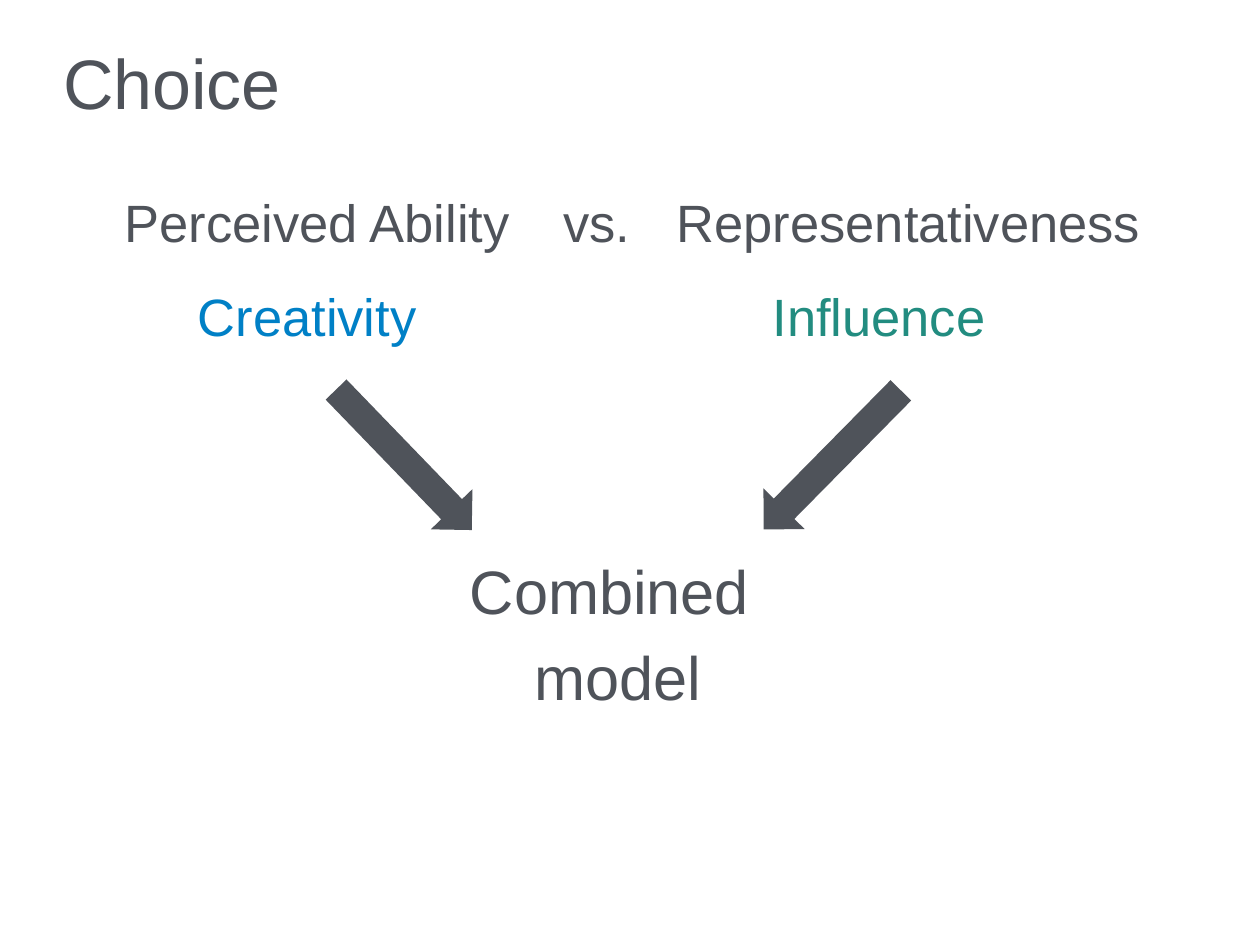
from pptx import Presentation
from pptx.dml.color import RGBColor
from pptx.enum.shapes import MSO_SHAPE as Geo
from pptx.enum.text import MSO_ANCHOR as Anchor, MSO_AUTO_SIZE as Fit, PP_ALIGN as Align
from pptx.util import Pt

GREY, BLUE, GREEN = "4F535A", "0080C6", "228C80"


def tint(code):
    return RGBColor.from_string(code)


def place(box, left, top, width, height):
    box.left, box.top, box.width, box.height = map(Pt, (left, top, width, height))


def write(box, text, size=30, color=GREY, align=Align.LEFT, after=5):
    """Fill a box with one paragraph per line of text."""
    frame = box.text_frame
    frame.word_wrap = True
    frame.auto_size = Fit.NONE
    frame.vertical_anchor = Anchor.TOP
    frame.margin_left = frame.margin_right = 0
    frame.margin_top = frame.margin_bottom = 0
    frame.text = text
    for para in frame.paragraphs:
        para.alignment = align
        para.line_spacing = 1.05
        para.space_before = Pt(0)
        para.space_after = Pt(after)
        font = para.runs[0].font
        font.name, font.size = "Arial", Pt(size)
        font.color.rgb = tint(color)


def label(slide, text, left, top, width, height=36, **form):
    box = slide.shapes.add_textbox(0, 0, 0, 0)
    place(box, left, top, width, height)
    write(box, text, **form)


def arrow(slide, left, angle):
    shape = slide.shapes.add_shape(Geo.RIGHT_ARROW, 0, 0, 0, 0)
    place(shape, left, 246.2, 111.6, 33.1)
    shape.rotation = angle
    shape.shadow.inherit = False
    shape.fill.solid()
    shape.fill.fore_color.rgb = tint(GREY)
    shape.line.fill.background()


def main():
    deck = Presentation()
    deck.slide_width, deck.slide_height = Pt(720), Pt(540)
    slide = deck.slides.add_slide(deck.slide_layouts[5])

    title = slide.shapes.title
    place(title, 36, 20.2, 490.3, 48.2)
    write(title, "Choice", size=40)

    row = 106.6
    label(slide, "Representativeness", 386.6, row, 280)
    label(slide, "Perceived Ability", 71.3, row, 291)
    label(slide, "vs.", 321.8, row, 46, after=0)

    row = 160.6
    label(slide, "Creativity", 113, row, 152.6, color=BLUE)
    label(slide, "Influence", 441.4, row, 152.6, color=GREEN)

    arrow(slide, 175, 46)
    arrow(slide, 419.8, 134.6)
    label(slide, "Combined \nmodel", 214.6, 313.9, 277.2, 90, size=35, align=Align.CENTER)

    deck.save("out.pptx")


if __name__ == "__main__":
    main()
